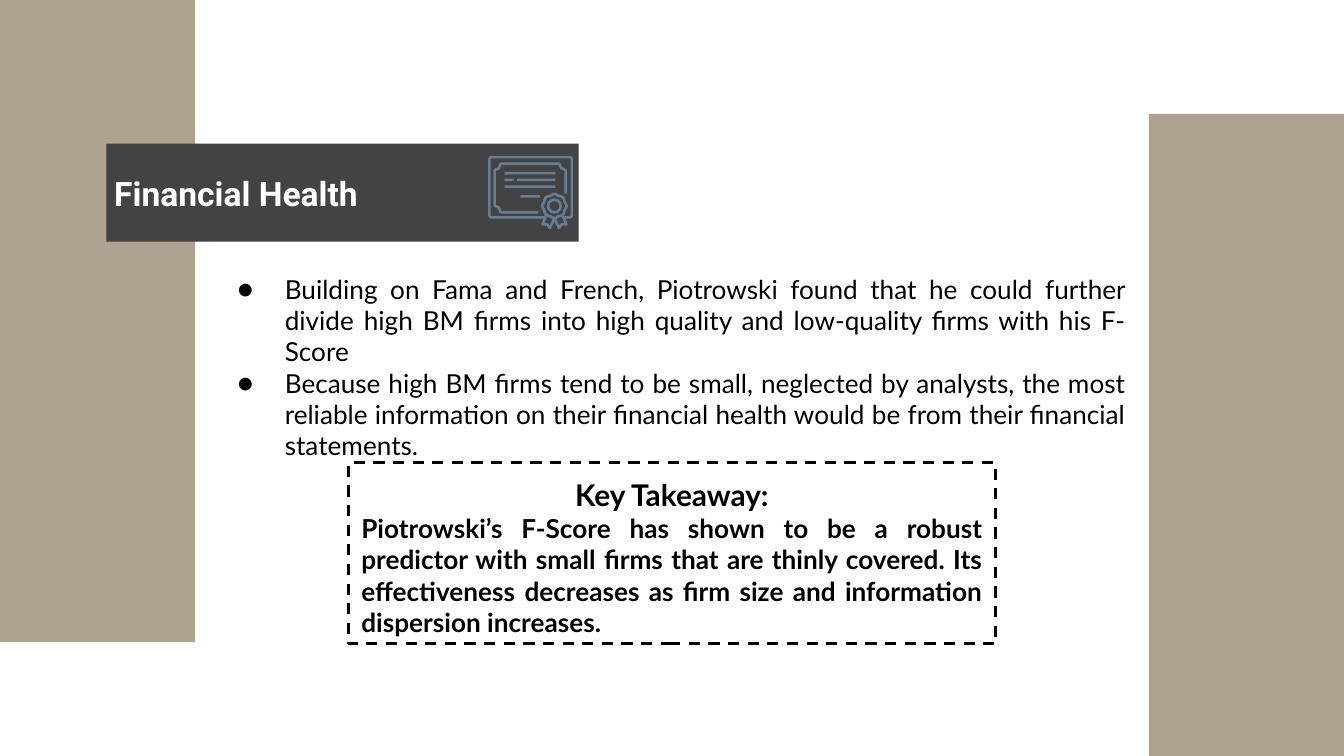
from math import cos, pi, sin
from lxml.etree import SubElement
from pptx import Presentation
from pptx.dml.color import RGBColor
from pptx.enum.dml import MSO_LINE
from pptx.enum.shapes import MSO_SHAPE
from pptx.enum.text import MSO_ANCHOR, MSO_AUTO_SIZE, PP_ALIGN
from pptx.oxml.ns import qn
from pptx.util import Pt

BLACK, WHITE, TAN, DARK, BLUE = "000000", "FFFFFF", "908269", "434343", "657E93"
POINTS = [
    "Building on Fama and French, Piotrowski found that he could further divide "
    "high BM firms into high quality and low-quality firms with his F-Score",
    "Because high BM firms tend to be small, neglected by analysts, the most reliable "
    "information on their financial health would be from their financial statements.",
]
LESSON = ("Piotrowski’s F-Score has shown to be a robust predictor with small firms that are "
          "thinly covered. Its effectiveness decreases as firm size and information "
          "dispersion increases.")


def paint(part, color):
    """Set a solid colour on a fill."""
    part.solid()
    part.fore_color.rgb = RGBColor.from_string(color)


def place(shape, box):
    shape.left, shape.top, shape.width, shape.height = map(Pt, box)


def block(slide, box, color=None, alpha=None, kind=MSO_SHAPE.RECTANGLE):
    shape = slide.shapes.add_shape(kind, *map(Pt, box))
    shape.shadow.inherit = False
    shape.line.fill.background()
    if color:
        paint(shape.fill, color)
    else:
        shape.fill.background()
    if alpha:
        tint = shape.fill._xPr.find(".//" + qn("a:srgbClr"))
        SubElement(tint, qn("a:alpha"), val=str(alpha * 1000))
    return shape


def frame(shape, anchor):
    text = shape.text_frame
    text.word_wrap = True
    text.auto_size = MSO_AUTO_SIZE.NONE
    text.vertical_anchor = anchor
    text.margin_left = text.margin_right = Pt(7.2)
    text.margin_top = text.margin_bottom = Pt(7.2)
    return text


def write(para, words, size, align, font="Lato", color=BLACK, bold=False):
    para.text = words
    para.alignment = align
    para.font.name, para.font.size, para.font.bold = font, Pt(size), bold
    paint(para.font.fill, color)


def bullet(para):
    props = para._p.get_or_add_pPr()
    props.set("marL", str(Pt(36)))
    props.set("indent", str(Pt(-25.2)))
    tint = SubElement(props, qn("a:buClr"))
    SubElement(tint, qn("a:srgbClr"), val=BLACK)
    SubElement(props, qn("a:buFont"), typeface="Lato")
    SubElement(props, qn("a:buChar"), char="●")


def trace(slide, box, dots, close=False):
    """Draw an outline through dots given relative to the box."""
    spots = [(Pt(box[0] + x), Pt(box[1] + y)) for x, y in dots]
    pen = slide.shapes.build_freeform(*spots[0])
    pen.add_line_segments(spots[1:], close=close)
    stroke(pen.convert_to_shape())


def stroke(shape):
    shape.shadow.inherit = False
    shape.fill.background()
    paint(shape.line.fill, BLUE)
    shape.line.width = Pt(1.4)


def draw_icon(slide, box):
    left, top, wide, _ = box
    # Outer frame and notched inner frame, open behind the seal
    trace(slide, box, [(30.3, 33), (1.5, 33), (0.7, 32.2), (0.7, 1.5), (1.5, 0.7),
                       (wide - 1.5, 0.7), (wide - 0.7, 1.5), (wide - 0.7, 32.2),
                       (wide - 1.5, 33), (41, 33)])
    trace(slide, box, [(27, 30.2), (6.7, 30.2), (5.8, 27.8), (3.5, 26.7), (3.5, 7.6),
                       (5.8, 6.6), (6.7, 4.2), (38.2, 4.2), (39.2, 6.6),
                       (41.6, 7.6), (41.6, 20.3)])
    # Lines of writing
    for x, y, length in [(8.7, 8.6, 27.4), (8.7, 12.2, 5), (15.6, 12.2, 20.5),
                         (8.7, 15.8, 27.4), (17.3, 21, 10.4)]:
        block(slide, (left + x, top + y, length, 1.4), BLUE, kind=MSO_SHAPE.ROUNDED_RECTANGLE)
    # Seal with scalloped edge
    mid, deep = 35.5, 26.9
    edge = []
    for step in range(60):
        turn = step * pi / 30
        reach = 6.2 + 0.3 * cos(8 * turn)
        edge.append((mid + reach * cos(turn), deep + reach * sin(turn)))
    trace(slide, box, edge, close=True)
    ring = block(slide, (left + mid - 3.4, top + deep - 3.4, 6.8, 6.8), kind=MSO_SHAPE.OVAL)
    stroke(ring)
    # Ribbon tails
    for side in (-1, 1):
        trace(slide, box, [(mid + side * x, y) for x, y in
                           [(4.6, 32.4), (6.4, 36.7), (3.8, 36.7), (2.5, 38.7), (0.2, 34)]])


def draw_title(slide, box):
    left, top, wide, high = box
    block(slide, box, DARK)
    title = slide.shapes.title
    place(title, (left - 3, top, wide + 6, high))
    text = frame(title, MSO_ANCHOR.MIDDLE)
    write(text.paragraphs[0], "Financial Health", 18, PP_ALIGN.LEFT, "Roboto", WHITE, True)
    draw_icon(slide, (left + 204.5, top + 6.5, 45.6, 39.6))


def draw_points(slide, box):
    text = frame(slide.shapes.add_textbox(*map(Pt, box)), MSO_ANCHOR.TOP)
    for spot, words in enumerate(POINTS):
        para = text.add_paragraph() if spot else text.paragraphs[0]
        bullet(para)
        write(para, words, 14, PP_ALIGN.JUSTIFY)


def draw_lesson(slide, box):
    shape = block(slide, box)
    paint(shape.line.fill, BLACK)
    shape.line.width = Pt(1.5)
    shape.line.dash_style = MSO_LINE.DASH
    text = frame(shape, MSO_ANCHOR.TOP)
    write(text.paragraphs[0], "Key Takeaway:", 16, PP_ALIGN.CENTER, bold=True)
    write(text.add_paragraph(), LESSON, 14, PP_ALIGN.JUSTIFY, bold=True)


def main():
    deck = Presentation()
    deck.slide_width, deck.slide_height = Pt(720), Pt(405)
    slide = deck.slides.add_slide(deck.slide_layouts[5])
    # Side panels
    wide, high = 104.5, 344
    block(slide, (720 - wide, 405 - high, wide, high), TAN, 73)
    block(slide, (0, 0, wide, high), TAN, 73)
    # Content
    draw_title(slide, (57, 77, 253, 52.5))
    # Keep the title text above its bar
    bar = slide.shapes.title._element
    slide.shapes._spTree.append(bar)
    draw_points(slide, (109.5, 139, 501, 109.5))
    draw_lesson(slide, (186.5, 248, 347, 97))
    deck.save("out.pptx")


if __name__ == "__main__":
    main()
